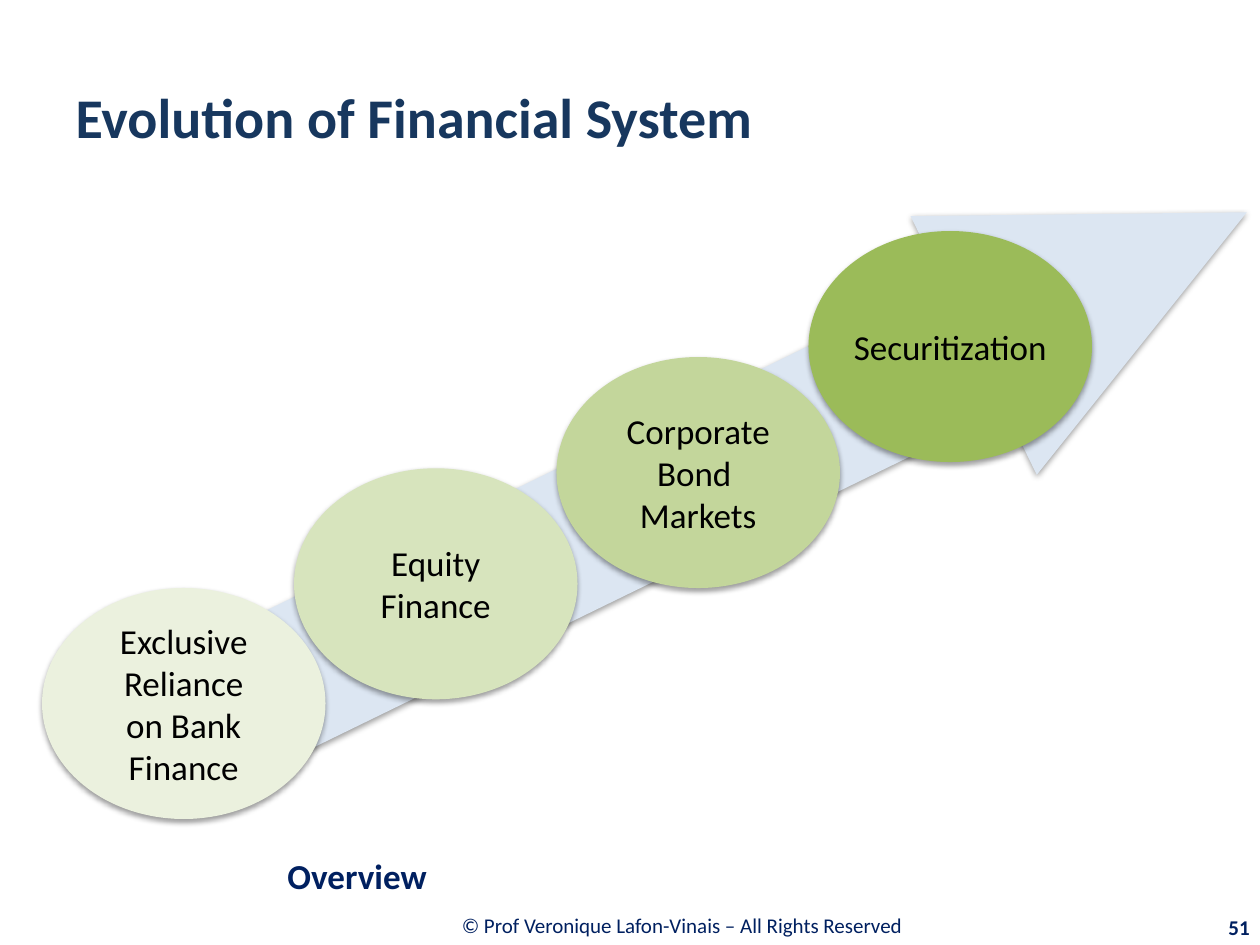
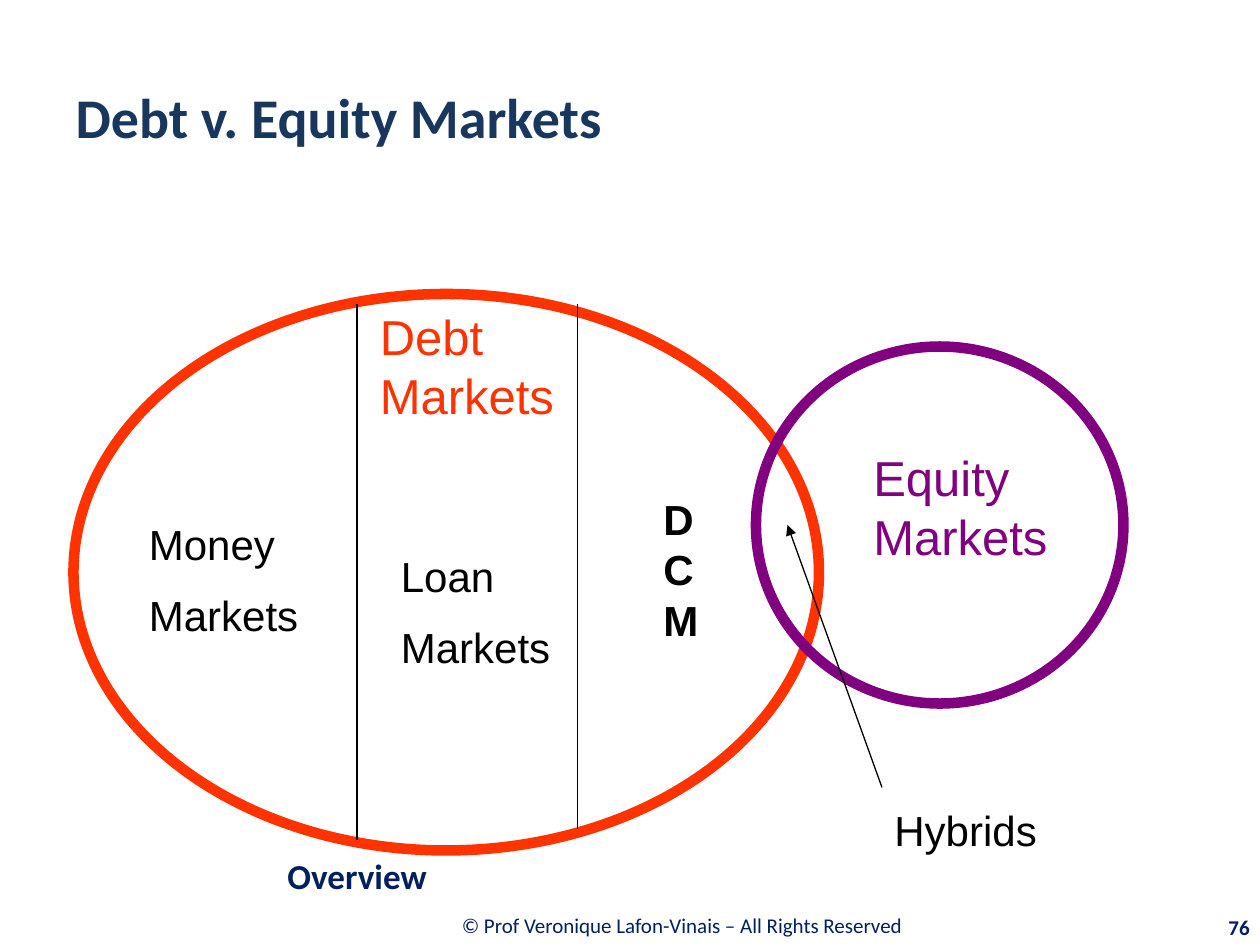
"""Two slides on the financial system: its evolution, and debt versus equity markets."""
from lxml import etree
from pptx import Presentation
from pptx.dml.color import RGBColor
from pptx.enum.shapes import MSO_CONNECTOR, MSO_SHAPE
from pptx.enum.text import MSO_ANCHOR, PP_ALIGN
from pptx.oxml.ns import qn
from pptx.util import Inches, Pt

LEFT, CENTER, RIGHT = PP_ALIGN.LEFT, PP_ALIGN.CENTER, PP_ALIGN.RIGHT
TOP, MIDDLE = MSO_ANCHOR.TOP, MSO_ANCHOR.MIDDLE
OVAL, ARROW = MSO_SHAPE.OVAL, MSO_SHAPE.RIGHT_ARROW
STRAIGHT = MSO_CONNECTOR.STRAIGHT

TITLE_BLUE = RGBColor(0x17, 0x37, 0x5E)
NAVY = RGBColor(0x00, 0x20, 0x60)
BLACK = RGBColor(0x00, 0x00, 0x00)
PALE_BLUE = RGBColor(0xDC, 0xE6, 0xF2)
GREEN_1 = RGBColor(0xEB, 0xF1, 0xDE)
GREEN_2 = RGBColor(0xD7, 0xE4, 0xBD)
GREEN_3 = RGBColor(0xC3, 0xD6, 0x9B)
GREEN_4 = RGBColor(0x9B, 0xBB, 0x59)
ORANGE = RGBColor(0xFF, 0x33, 0x00)
PURPLE = RGBColor(0x80, 0x00, 0x80)

COLUMNS, ROWS = 120, 90
deck = Presentation()
deck.slide_width, deck.slide_height = Inches(10), Inches(7.5)
CELL_W, CELL_H = deck.slide_width / COLUMNS, deck.slide_height / ROWS


def grid(column, row, columns, rows):
    return (round(column * CELL_W), round(row * CELL_H),
            round(columns * CELL_W), round(rows * CELL_H))


def write(shape, lines, size, color, font="Calibri", bold=False, align=LEFT,
          anchor=MIDDLE, wrap=True, space_percent=0):
    frame = shape.text_frame
    frame.text = "\n".join(lines)
    frame.word_wrap, frame.vertical_anchor = wrap, anchor
    for paragraph in frame.paragraphs:
        paragraph.alignment = align
        if space_percent:
            before = etree.SubElement(paragraph._p.get_or_add_pPr(), qn("a:spcBef"))
            etree.SubElement(before, qn("a:spcPct"), val=str(space_percent * 1000))
        paragraph.font.name, paragraph.font.size = font, Pt(size)
        paragraph.font.bold, paragraph.font.color.rgb = bold, color


slides = []
for heading, number in (("Evolution of Financial System", "51"),
                        ("Debt v. Equity Markets", "76")):
    slide = deck.slides.add_slide(deck.slide_layouts[5])
    title = slide.shapes.title
    title.left, title.top, title.width, title.height = grid(6, 3.6, 108, 15)
    write(title, [heading], 32, TITLE_BLUE, bold=True)
    for place, text, size, bold, align in (
            ((26.3, 85.8, 77.8, 4.7),
             "© Prof Veronique Lafon-Vinais – All Rights Reserved ", 12, False, CENTER),
            ((108.1, 86.4, 12.1, 3.8), number, 12, True, RIGHT),
            ((26.2, 80.6, 93.8, 5.6), "Overview", 20, True, LEFT)):
        write(slide.shapes.add_textbox(*grid(*place)), [text], size, NAVY,
              bold=bold, align=align)
    slides.append(slide)
evolution, markets = slides

progress = evolution.shapes.add_shape(ARROW, *grid(8.8, 31.9, 115.8, 27.4))
progress.rotation = 334
progress.adjustments[0], progress.adjustments[1] = 0.5, 1.056
progress.fill.solid()
progress.fill.fore_color.rgb = PALE_BLUE
solids = [progress]

for column, row, color, lines in (
        (77, 22, GREEN_4, ["Securitization"]),
        (53, 34, GREEN_3, ["Corporate", "Bond ", "Markets"]),
        (4, 56, GREEN_1, ["Exclusive", "Reliance", "on Bank", "Finance"]),
        (28, 44.6, GREEN_2, ["Equity", "Finance"])):
    stage = evolution.shapes.add_shape(OVAL, *grid(column, row, 27, 22))
    stage.fill.solid()
    stage.fill.fore_color.rgb = color
    write(stage, lines, 20, BLACK, align=CENTER, wrap=False)
    solids.append(stage)

for solid in solids:
    solid.line.fill.background()
    solid.shadow.inherit = False
    effects = solid._element.spPr.find(qn("a:effectLst"))
    shadow = etree.SubElement(effects, qn("a:outerShdw"), blurRad=str(Pt(3.1)),
                              dist=str(Pt(1.6)), dir="5400000", rotWithShape="0")
    tint = etree.SubElement(shadow, qn("a:srgbClr"), val="000000")
    etree.SubElement(tint, qn("a:alpha"), val="38000")

for place, color in (((7, 28, 71, 53), ORANGE), ((72, 33, 35, 34), PURPLE)):
    market = markets.shapes.add_shape(OVAL, *grid(*place))
    market.fill.background()
    market.line.color.rgb, market.line.width = color, Pt(6)
    market.shadow.inherit = False

for ends in ((34, 29, 34, 80), (55, 29, 55, 79), (84, 75, 75, 50)):
    rule = markets.shapes.add_connector(STRAIGHT, *grid(*ends))
    rule.line.color.rgb, rule.line.width = BLACK, Pt(0.75)
    etree.SubElement(rule._element.spPr, qn("a:effectLst"))
hybrid_pointer = rule
etree.SubElement(hybrid_pointer.line._get_or_add_ln(), qn("a:tailEnd"), type="triangle")

for place, lines, size, color, bold in (
        ((84, 76, 16, 6), ["Hybrids"], 24, BLACK, False),
        ((82, 42, 23, 12.4), ["Equity Markets"], 28, PURPLE, False),
        ((35, 28.6, 22, 12.4), ["Debt Markets"], 28, ORANGE, False),
        ((13, 48.8, 18, 13.2), ["Money", "Markets"], 24, BLACK, False),
        ((37, 51.8, 17, 13.2), ["Loan", "Markets"], 24, BLACK, False),
        ((62, 46.4, 6, 15.6), ["DCM"], 24, BLACK, True)):
    write(markets.shapes.add_textbox(*grid(*place)), lines, size, color,
          font="Arial", bold=bold, anchor=TOP, space_percent=50)

deck.save("out.pptx")
